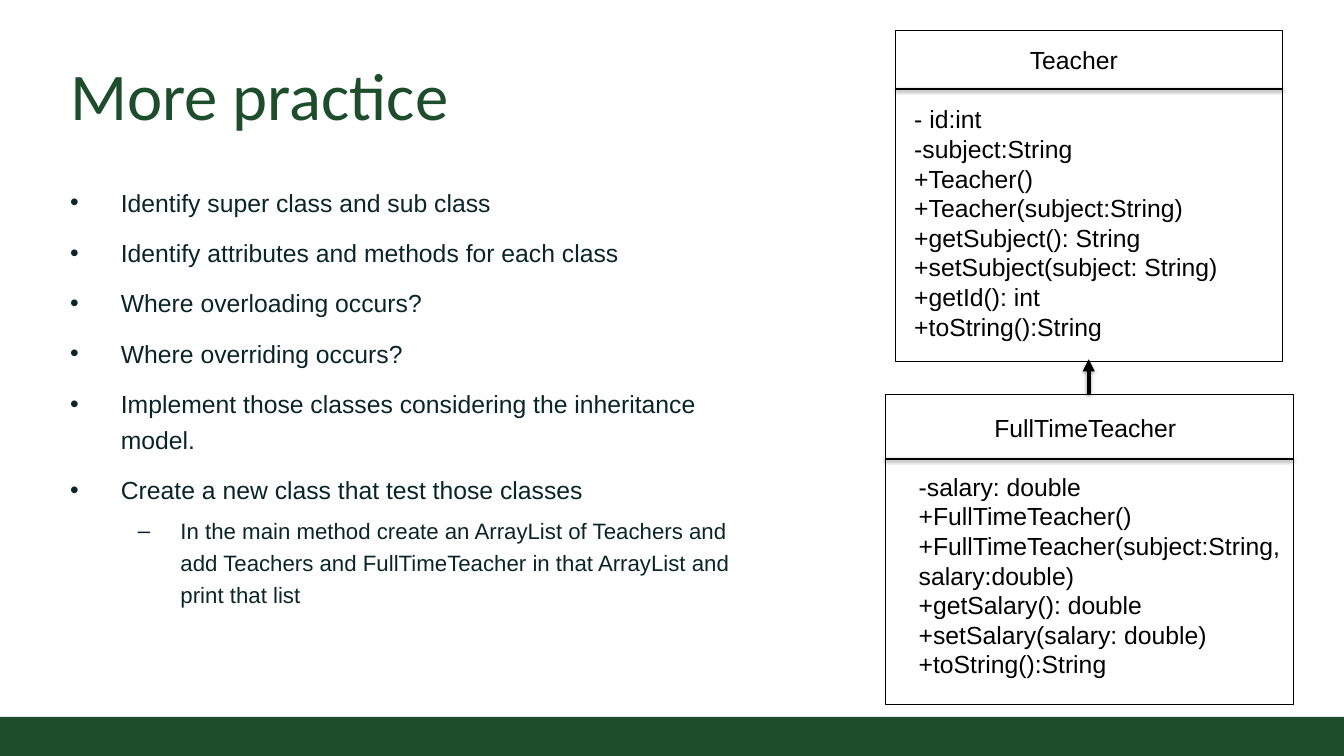
import pptx
import pptx.dml.color
import pptx.enum.shapes
import pptx.enum.text
import pptx.oxml
import pptx.oxml.ns
import pptx.util

RGB = pptx.dml.color.RGBColor
Pt = pptx.util.Pt
GREEN = RGB(0x1E, 0x4D, 0x2B)
INK = RGB(0x09, 0x25, 0x29)
BLACK = RGB(0, 0, 0)
ANCHOR = pptx.enum.text.MSO_ANCHOR

# Grid of square cells, ten to the inch
COLS, ROWS = 151.1, 85

TASKS = [
    "Identify super class and sub class",
    "Identify attributes and methods for each class",
    "Where overloading occurs?",
    "Where overriding occurs?",
    "Implement those classes considering the inheritance model.",
    "Create a new class that test those classes",
]
SUBTASK = ("In the main method create an ArrayList of Teachers and add Teachers "
           "and FullTimeTeacher in that ArrayList and print that list")
TEACHER = [
    "- id:int",
    "-subject:String",
    "+Teacher()",
    "+Teacher(subject:String)",
    "+getSubject(): String",
    "+setSubject(subject: String)",
    "+getId(): int",
    "+toString():String",
]
FULL_TIME = [
    "-salary: double",
    "+FullTimeTeacher()",
    "+FullTimeTeacher(subject:String, salary:double)",
    "+getSalary(): double",
    "+setSalary(salary: double)",
    "+toString():String",
]


def cells(*counts):
    return [pptx.util.Inches(n / 10) for n in counts]


def xml(tag, content="", **attrs):
    """Make a DrawingML element."""
    pairs = "".join(f' {k}="{v}"' for k, v in attrs.items())
    ns = pptx.oxml.ns.nsdecls("a")
    return pptx.oxml.parse_xml(f"<a:{tag} {ns}{pairs}>{content}</a:{tag}>")


def add_bullet(p, char, margin, hang):
    pPr = p._p.get_or_add_pPr()
    pPr.set("marL", str(pptx.util.Inches(margin)))
    pPr.set("indent", str(-pptx.util.Inches(hang)))
    pPr.append(xml("buFont", typeface="Arial"))
    pPr.append(xml("buChar", char=char))


def write(p, text, size=20, font="Arial", color=BLACK, bullet=None,
          spacing=None, before=0, after=0):
    """Fill one paragraph; bullet is (character, margin, hang) in inches."""
    if spacing:
        p.line_spacing = spacing
    p.space_before, p.space_after = Pt(before), Pt(after)
    if bullet:
        add_bullet(p, *bullet)
    r = p.add_run()
    r.text = text
    r.font.size, r.font.name = Pt(size), font
    r.font.color.rgb = color


def add_frame(s, at, wrap=True, anchor=ANCHOR.TOP, inset=0.5):
    tf = s.shapes.add_textbox(*cells(*at)).text_frame
    tf.word_wrap, tf.vertical_anchor = wrap, anchor
    tf.margin_left, tf.margin_right = cells(1, 1)
    tf.margin_top, tf.margin_bottom = cells(inset, inset)
    return tf


def add_lines(tf, lines, **style):
    for i, line in enumerate(lines):
        p = tf.add_paragraph() if i else tf.paragraphs[0]
        write(p, line, **style)


def add_rect(s, at, fill=None, line=None):
    sp = s.shapes.add_shape(pptx.enum.shapes.MSO_SHAPE.RECTANGLE, *cells(*at))
    sp.shadow.inherit = False
    if fill is None:
        sp.fill.background()
    else:
        sp.fill.solid()
        sp.fill.fore_color.rgb = fill
    if line is None:
        sp.line.fill.background()
    else:
        sp.line.color.rgb, sp.line.width = line, Pt(0.75)


def add_line(s, ends, width, arrow=False):
    """Draw a black line with a soft shadow below it."""
    c = s.shapes.add_connector(pptx.enum.shapes.MSO_CONNECTOR.STRAIGHT,
                               *cells(*ends))
    c.line.color.rgb, c.line.width = BLACK, Pt(width)
    if arrow:
        c.line._get_or_add_ln().append(xml("tailEnd", type="triangle"))
    shadow = ('<a:outerShdw blurRad="39370" dist="20320" dir="5400000" '
              'rotWithShape="0"><a:srgbClr val="000000">'
              '<a:alpha val="38000"/></a:srgbClr></a:outerShdw>')
    c._element.spPr.append(xml("effectLst", shadow))


def add_class(s, box, divider, name, name_at, members, members_at):
    left, _, width, _ = box
    add_lines(add_frame(s, name_at, wrap=False), [name])
    add_rect(s, box, line=BLACK)
    add_line(s, (left, divider, left + width, divider), 2)
    add_lines(add_frame(s, members_at), members)


def add_tasks(s):
    tf = add_frame(s, (6.9, 19.4, 76.9, 50.1), inset=1)
    for i, task in enumerate(TASKS):
        p = tf.add_paragraph() if i else tf.paragraphs[0]
        write(p, task, color=INK, bullet=("•", 0.57, 0.57), spacing=1.2,
              before=6 if i else 0, after=6)
    p = tf.add_paragraph()
    p.level = 1
    write(p, SUBTASK, size=18, color=INK, bullet=("–", 1.24, 0.48),
          spacing=1.2, after=6)


def main():
    prs = pptx.Presentation()
    prs.slide_width, prs.slide_height = cells(COLS, ROWS)
    s = prs.slides.add_slide(prs.slide_layouts[6])

    # Footer band
    add_rect(s, (0, ROWS - 4.4, COLS, 4.4), fill=GREEN)

    # Title and tasks
    title = add_frame(s, (6.9, 4.9, 137.4, 11.1), anchor=ANCHOR.BOTTOM, inset=1)
    add_lines(title, ["More practice"], size=54, font="Calibri", color=GREEN)
    add_tasks(s)

    # Class diagram
    add_class(s, (100.7, 3.4, 43.5, 37.3), 10, "Teacher",
              (114.8, 4.6, 12, 4.4), TEACHER, (101.8, 11.2, 41.2, 31.3))
    add_class(s, (99.5, 44.3, 45.9, 34.9), 51.6, "FullTimeTeacher",
              (110.8, 45.9, 22.7, 4.4), FULL_TIME, (102.3, 52.5, 44.8, 27.9))
    add_line(s, (122.4, 44.3, 122.4, 40.4), 3.25, arrow=True)

    prs.save("out.pptx")


if __name__ == "__main__":
    main()
